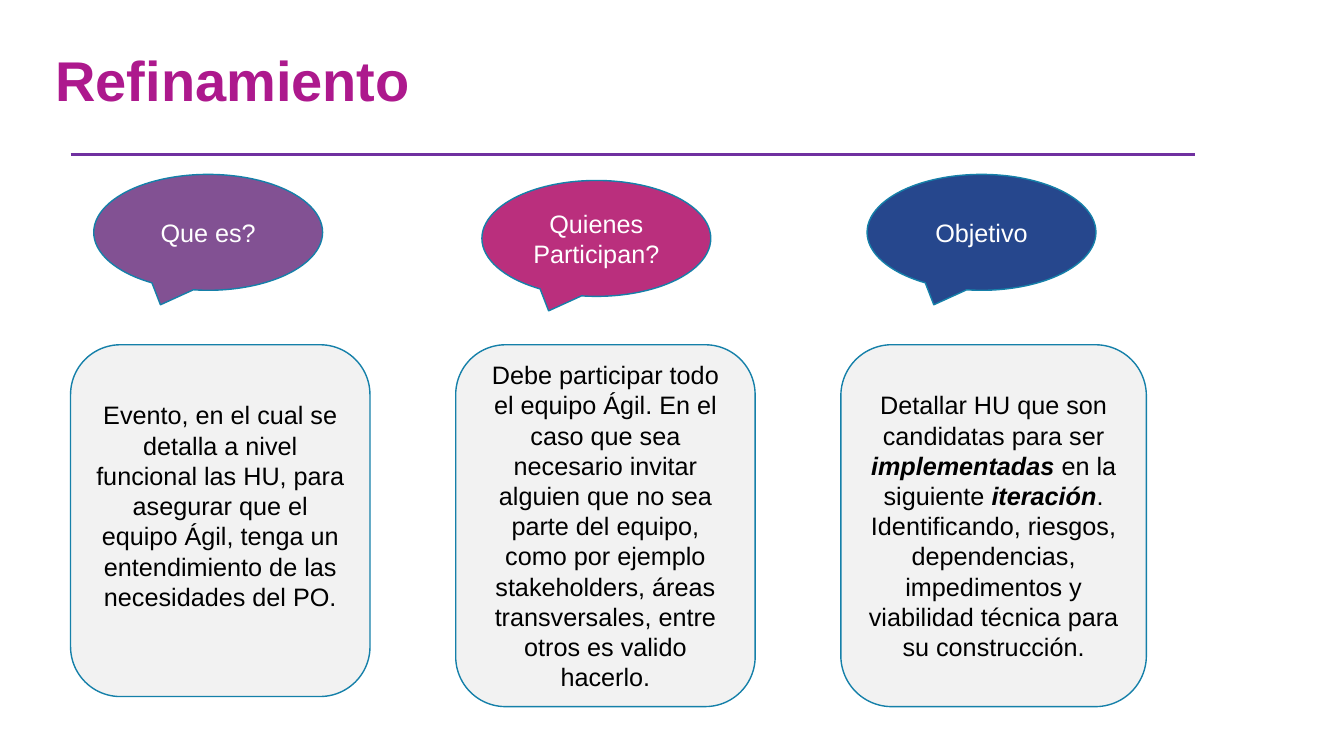
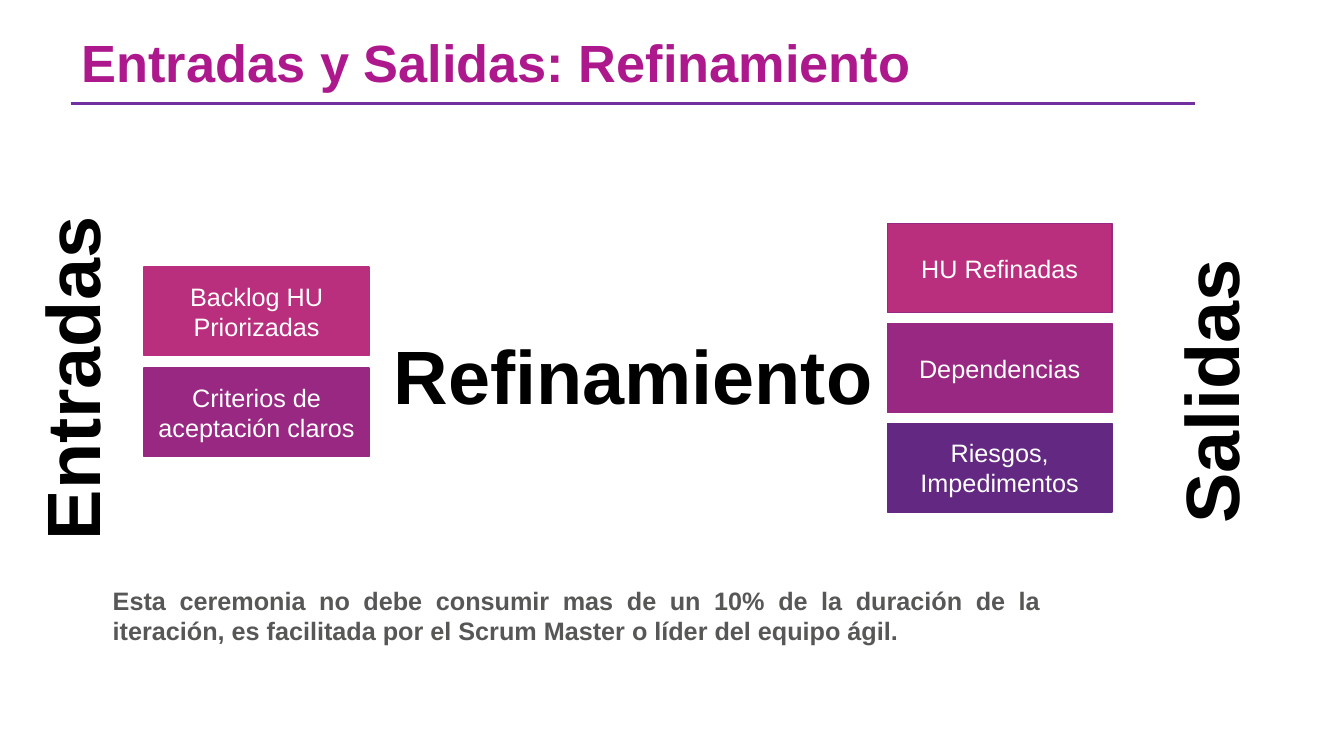
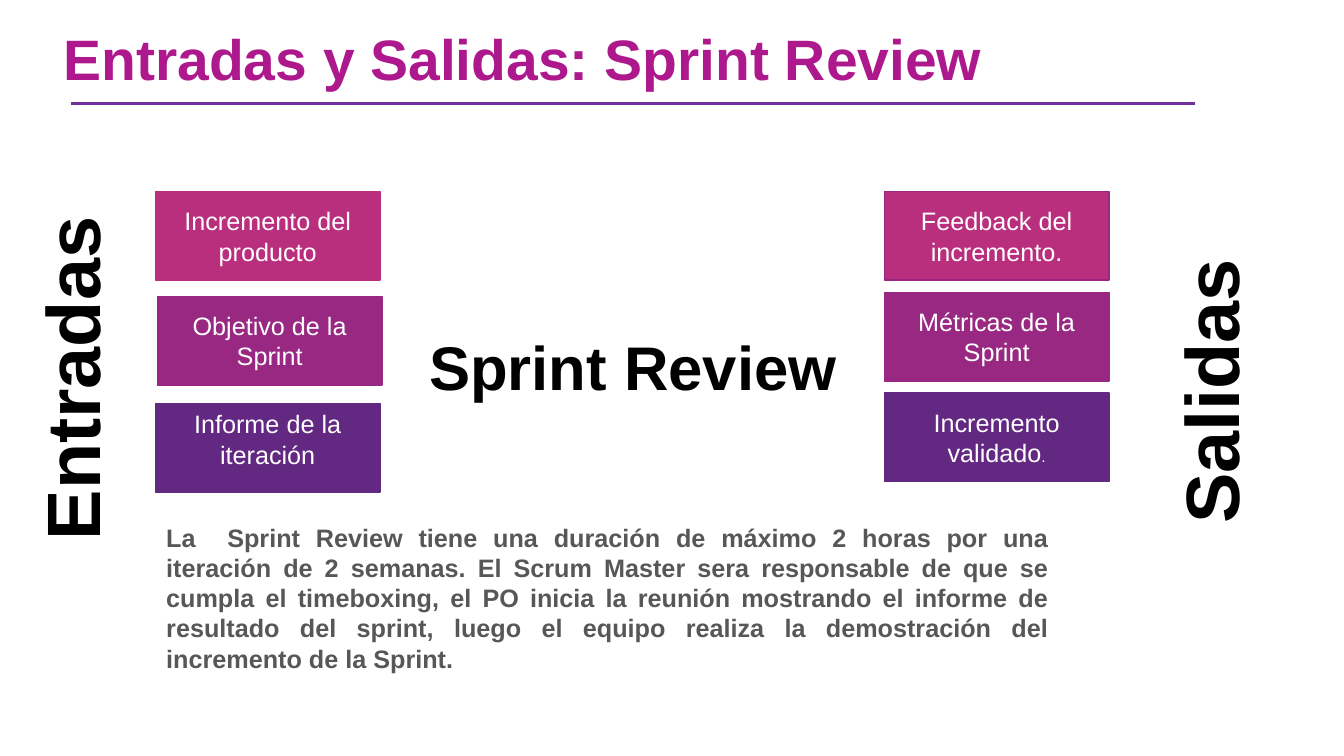
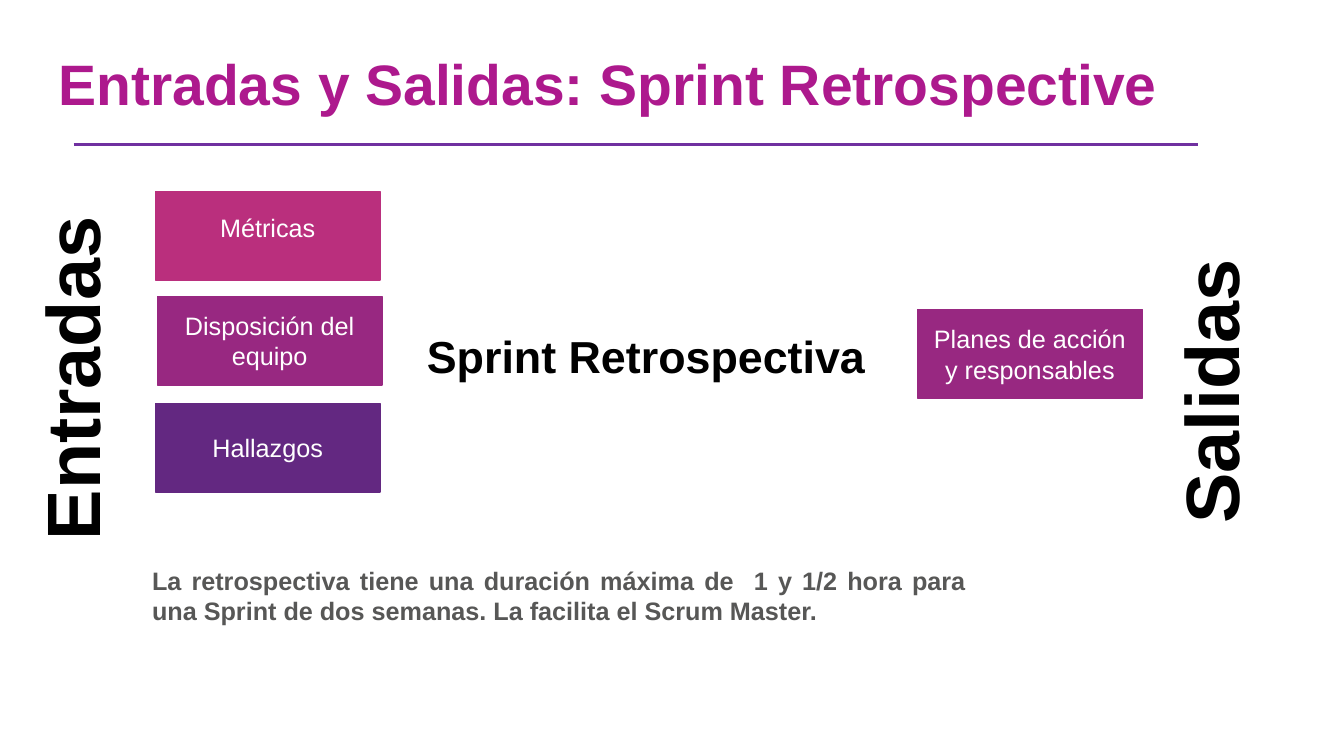
"""Build four slides on refinement, sprint review and sprint retrospective."""
from dataclasses import dataclass

import pptx
import pptx.util
import pptx.dml.color
import pptx.enum.shapes
import pptx.enum.text
from lxml import etree

Inches, Pt = pptx.util.Inches, pptx.util.Pt
RGB = pptx.dml.color.RGBColor.from_string
SHAPE = pptx.enum.shapes.MSO_SHAPE
ALIGN = pptx.enum.text.PP_ALIGN
ANCHOR = pptx.enum.text.MSO_ANCHOR
FIT = pptx.enum.text.MSO_AUTO_SIZE


@dataclass(frozen=True)
class Theme:
    font: str = "Arial"
    title: str = "AD198D"
    rule: str = "7030A0"
    edge: str = "1580A9"
    panel: str = "F2F2F2"
    pink: str = "BA2F7D"
    magenta: str = "982881"
    violet: str = "632881"
    lilac: str = "825193"
    blue: str = "26478D"
    note: str = "575756"
    black: str = "000000"
    white: str = "FFFFFF"
    body_size: float = 18
    small_size: float = 11
    side_size: float = 54


T = Theme()
STRONG = {"bold": True, "italic": True}

REFINEMENT = {
    "title": "Refinamiento", "title_at": (0.45, 0.29, 9.36, 1.07),
    "title_size": 40, "spacing": 0.9, "rule_at": (0.7, 1.53),
    "columns": [
        {"head": "Que es?", "fill": T.lilac, "head_at": (0.93, 1.73),
         "panel_at": (0.7, 3.42, 2.97, 3.49), "bottom": 0.35,
         "body": [("Evento, en el cual se detalla a nivel funcional las HU, para asegurar "
                   "que el equipo Ágil, tenga un entendimiento de las necesidades del PO.", {})]},
        {"head": "Quienes Participan?", "fill": T.pink, "head_at": (4.78, 1.79),
         "panel_at": (4.52, 3.42, 2.97, 3.59), "bottom": 0.05,
         "body": [("Debe participar todo el equipo Ágil. En el caso que sea necesario "
                   "invitar alguien que no sea parte del equipo, como por ejemplo "
                   "stakeholders, áreas transversales, entre otros es valido hacerlo.", {})]},
        {"head": "Objetivo", "fill": T.blue, "head_at": (8.6, 1.73),
         "panel_at": (8.34, 3.42, 3.03, 3.59), "bottom": 0.05,
         "body": [("Detallar HU que son candidatas para ser ", {}),
                  ("implementadas", STRONG), (" en la siguiente ", {}),
                  ("iteración", STRONG),
                  (". Identificando, riesgos, dependencias, impedimentos y viabilidad "
                   "técnica para su construcción.", {})]},
    ],
}

FLOWS = [
    {"title": "Entradas y Salidas: Refinamiento", "title_at": (0.71, 0.31, 8.89, 0.72),
     "title_size": 37.4, "spacing": 0.8, "rule_at": (0.7, 1.03),
     "event": "Refinamiento", "event_at": (3.78, 3.21, 5, 1.01), "event_size": 54,
     "inputs": {"at": (1.43, 2.65), "pitch": 1, "boxes": [
         ("Backlog HU Priorizadas", T.pink), ("Criterios de aceptación claros", T.magenta)]},
     "outputs": {"at": (8.8, 2.22), "pitch": 0.99, "boxes": [
         ("HU Refinadas", T.pink), ("Dependencias", T.magenta),
         ("Riesgos, Impedimentos", T.violet)]},
     "note": "Esta ceremonia no debe consumir mas de un 10% de la duración de la iteración, "
             "es facilitada por el Scrum Master o líder del equipo ágil.",
     "note_at": (1.02, 5.76, 9.4, 0.71)},
    {"title": "Entradas y Salidas: Sprint Review", "title_at": (0.53, 0.35, 10.33, 0.61),
     "title_size": 40.7, "spacing": 0.7, "rule_at": (0.7, 1.03),
     "event": "Sprint Review", "event_at": (4.14, 3.21, 4.28, 0.84), "event_size": 44,
     "inputs": {"at": (1.54, 1.9), "pitch": 1.05, "nudged": 1, "raised": 2, "boxes": [
         ("Incremento del producto", T.pink), ("Objetivo de la Sprint", T.magenta),
         ("Informe de la iteración", T.violet)]},
     "outputs": {"at": (8.77, 1.9), "pitch": 1, "boxes": [
         ("Feedback del incremento.", T.pink), ("Métricas de la Sprint", T.magenta),
         ([("Incremento validado", {}), (".", {"size": T.small_size})], T.violet)]},
     "note": "La  Sprint Review tiene una duración de máximo 2 horas por una iteración de "
             "2 semanas. El Scrum Master sera responsable de que se cumpla el timeboxing, "
             "el PO inicia la reunión mostrando el informe de resultado del sprint, luego "
             "el equipo realiza la demostración del incremento de la Sprint.",
     "note_at": (1.55, 5.13, 8.95, 1.62)},
    {"title": "Entradas y Salidas: Sprint Retrospective", "title_at": (0.48, 0.31, 11.59, 1.11),
     "title_size": 40.7, "spacing": 0.9, "rule_at": (0.73, 1.43),
     "event": "Sprint Retrospectiva", "event_at": (4.12, 3.21, 4.58, 0.64), "event_size": 32,
     "inputs": {"at": (1.54, 1.9), "pitch": 1.05, "nudged": 1, "raised": 0, "boxes": [
         ("Métricas", T.pink), ("Disposición del equipo", T.magenta),
         ("Hallazgos", T.violet)]},
     "outputs": {"at": (9.1, 3.07), "pitch": 1, "boxes": [
         ("Planes de acción y responsables", T.magenta)]},
     "note": "La retrospectiva tiene una duración máxima de  1 y 1/2 hora para una Sprint "
             "de dos semanas. La facilita el Scrum Master.",
     "note_at": (1.41, 5.56, 8.27, 0.71)},
]

SIDES = [("Entradas", (-1.02, 3.25, 3.44, 1.01)), ("Salidas", (10.57, 3.38, 2.85, 1.01))]
RULE_WIDTH = 11.15
CALLOUT_SIZE = (2.27, 1.15)
BOX_SIZE = (2.23, 0.88)
BOX_NUDGE = (0.02, -0.01)
RAISED_INSET = 0.22


def inches(at):
    return [Inches(v) for v in at]


def write(tf, content, color, size=T.body_size, bold=False, align=ALIGN.CENTER):
    p = tf.paragraphs[0]
    p.alignment = align
    for text, style in [(content, {})] if isinstance(content, str) else content:
        r = p.add_run()
        r.text = text
        r.font.name = T.font
        r.font.size = Pt(style.get("size", size))
        r.font.bold = style.get("bold", bold)
        r.font.italic = style.get("italic", False)
        r.font.color.rgb = RGB(color)
    return p


def add_block(s, kind, at, fill, edge, content, color, bottom=0.05):
    sp = s.shapes.add_shape(kind, *inches(at))
    sp.shadow.inherit = False
    sp.fill.solid()
    sp.fill.fore_color.rgb = RGB(fill)
    sp.line.color.rgb = RGB(edge)
    sp.line.width = Pt(1)
    tf = sp.text_frame
    tf.word_wrap = True
    tf.vertical_anchor = ANCHOR.MIDDLE
    tf.margin_bottom = Inches(bottom)
    write(tf, content, color)


def add_label(s, at, text, color, size, wrap=False, align=ALIGN.CENTER, rotation=0):
    sp = s.shapes.add_textbox(*inches(at))
    sp.rotation = rotation
    tf = sp.text_frame
    tf.word_wrap = wrap
    tf.auto_size = FIT.SHAPE_TO_FIT_TEXT
    write(tf, text, color, size, True, align)


def add_titled_slide(prs, data):
    s = prs.slides.add_slide(prs.slide_layouts.get_by_name("Title Only"))
    sp = s.shapes.title
    sp.left, sp.top, sp.width, sp.height = inches(data["title_at"])
    tf = sp.text_frame
    tf.word_wrap = True
    tf.auto_size = FIT.NONE
    tf.vertical_anchor = ANCHOR.MIDDLE
    p = write(tf, data["title"], T.title, data["title_size"], True, ALIGN.LEFT)
    p.line_spacing = data["spacing"]

    x, y = data["rule_at"]
    rule = s.shapes.add_connector(pptx.enum.shapes.MSO_CONNECTOR.STRAIGHT,
                                  *inches((x, y, x + RULE_WIDTH, y)))
    rule.line.color.rgb = RGB(T.rule)
    rule.line.width = Pt(2.25)
    etree.SubElement(rule._element.spPr, pptx.oxml.ns.qn("a:effectLst"))
    return s


def add_stack(s, stack, pink_edge):
    x, y = stack["at"]
    for i, (content, fill) in enumerate(stack["boxes"]):
        dx, dy = BOX_NUDGE if i == stack.get("nudged") else (0, 0)
        add_block(s, SHAPE.RECTANGLE, (x + dx, y + i * stack["pitch"] + dy, *BOX_SIZE),
                  fill, pink_edge if fill == T.pink else fill, content, T.white,
                  RAISED_INSET if i == stack.get("raised") else 0.05)


def add_columns_slide(prs, data):
    s = add_titled_slide(prs, data)
    for col in data["columns"]:
        add_block(s, SHAPE.OVAL_CALLOUT, col["head_at"] + CALLOUT_SIZE, col["fill"],
                  T.edge, col["head"], T.white)
        add_block(s, SHAPE.FLOWCHART_ALTERNATE_PROCESS, col["panel_at"], T.panel,
                  T.edge, col["body"], T.black, col["bottom"])


def add_flow_slide(prs, data):
    s = add_titled_slide(prs, data)
    add_stack(s, data["inputs"], T.pink)
    add_stack(s, data["outputs"], T.magenta)
    add_label(s, data["event_at"], data["event"], T.black, data["event_size"])
    for text, at in SIDES:
        add_label(s, at, text, T.black, T.side_size, rotation=270)
    add_label(s, data["note_at"], data["note"], T.note, T.body_size, True, ALIGN.JUSTIFY)


def main():
    prs = pptx.Presentation()
    prs.slide_width, prs.slide_height = Inches(13.33), Inches(7.5)
    add_columns_slide(prs, REFINEMENT)
    for flow in FLOWS:
        add_flow_slide(prs, flow)
    prs.save("out.pptx")


if __name__ == "__main__":
    main()
